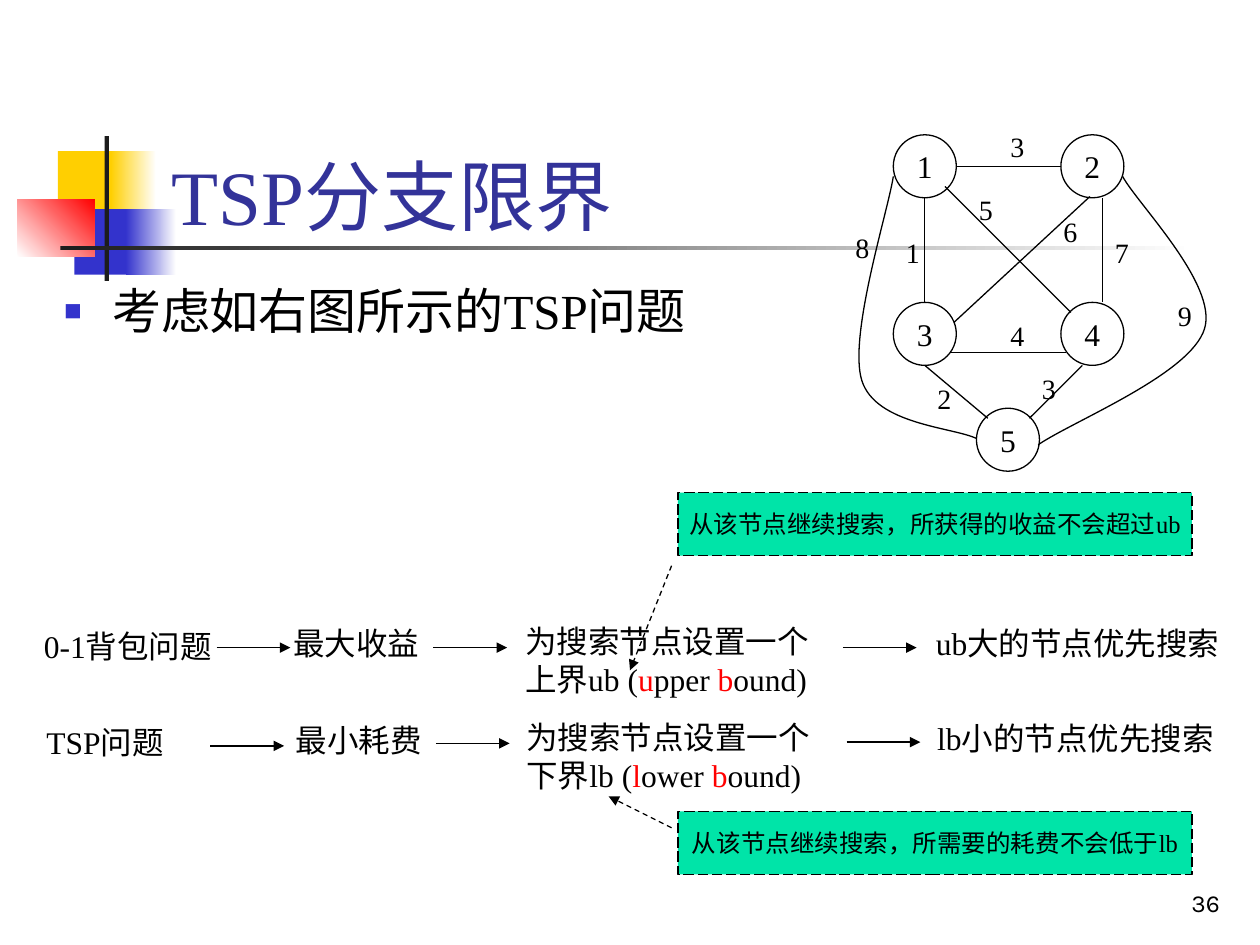
"""Build the slide that sets the travelling salesman problem for branch and bound."""
from dataclasses import dataclass
from typing import Optional

from lxml.etree import SubElement
from pptx import Presentation
from pptx.dml.color import RGBColor
from pptx.enum.dml import MSO_LINE
from pptx.enum.shapes import MSO_CONNECTOR, MSO_SHAPE
from pptx.enum.text import MSO_ANCHOR, MSO_AUTO_SIZE, PP_ALIGN
from pptx.oxml.ns import qn
from pptx.util import Inches, Pt

BLACK = RGBColor(0, 0, 0)
WHITE = RGBColor(255, 255, 255)
RED = RGBColor(255, 0, 0)
GOLD = RGBColor(0xFF, 0xCF, 0x01)
BLUE = RGBColor(0x33, 0x33, 0xCC)
NAVY = RGBColor(0x33, 0x33, 0x99)
INK = RGBColor(0x1C, 0x1C, 0x1C)
MINT = RGBColor(0x00, 0xE4, 0xA8)
SERIF = "Times New Roman"
WIDE, HIGH = Inches(10), Inches(7.5)
COLS, ROWS = 100, 75
Spot = tuple[float, float]
Area = tuple[float, float, float, float]


@dataclass
class Block:
    area: Area
    first: RGBColor
    last: Optional[RGBColor] = None
    angle: float = 0


@dataclass
class Edge:
    weight: str
    label: Spot
    dots: tuple[Spot, ...]


@dataclass
class Step:
    area: Area
    lines: tuple[str, ...]


@dataclass
class Hint:
    top: float
    text: str
    start: Spot
    end: Spot


BLOCKS = [
    Block((4.6, 12, 4.8, 5.2), GOLD),
    Block((8.8, 12, 3.6, 5.2), GOLD, WHITE),
    Block((5.9, 16.6, 4.6, 5.2), BLUE),
    Block((10, 16.6, 4, 5.2), BLUE, WHITE),
    Block((1.4, 15.8, 6.1, 4.6), WHITE, RED, 45),
    Block((8.3, 10.8, 0.35, 11.5), INK),
    Block((4.8, 19.5, 90, 0.35), INK, WHITE),
]
NODES = {"1": (70.9, 10.7), "2": (84.2, 10.7), "3": (70.9, 24),
         "4": (84.2, 24), "5": (77.5, 32.4)}
EDGES = [
    Edge("3", (79.2, 9.8), ((75.9, 13.2), (84.2, 13.2))),
    Edge("5", (76.7, 14.8), ((75, 14.8), (85, 24.8))),
    Edge("6", (83.4, 16.5), ((75.7, 25.6), (86.5, 15.6))),
    Edge("1", (70.9, 18.2), ((73.4, 15.7), (73.4, 24))),
    Edge("7", (87.5, 18.2), ((87.5, 15.7), (87.5, 24))),
    Edge("4", (79.2, 24.8), ((75.5, 28), (84.6, 28))),
    Edge("2", (73.4, 29.8), ((73.4, 29), (78.4, 33.2))),
    Edge("3", (81.7, 29), ((85.9, 29), (81.7, 33.2))),
    Edge("8", (66.9, 17.8), ((70.9, 14), (70.5, 16.7), (67.3, 26.7), (68.4, 30.2),
                             (69.5, 33.7), (75.6, 33.9), (77.5, 34.8))),
    Edge("9", (92.5, 23.2), ((89.1, 14), (90.2, 16.1), (96.7, 22.6), (95.6, 26.1),
                             (94.5, 29.7), (85.2, 33.4), (82.4, 35.3))),
]
STEPS = [
    Step((2.5, 49.3, 15.3, 4), ("0-1背包问题",)),
    Step((22.3, 49, 12.5, 4), ("最大收益",)),
    Step((40.7, 48.9, 25.5, 7), ("为搜索节点设置一个", "上界ub (|u|pper |b|ound)")),
    Step((73.3, 49, 24.5, 4), ("ub大的节点优先搜索",)),
    Step((2.7, 56.9, 11.3, 4), ("TSP问题",)),
    Step((22.5, 56.7, 12.5, 4), ("最小耗费",)),
    Step((40.8, 56.5, 25.5, 7), ("为搜索节点设置一个", "下界lb (|l|ower |b|ound)")),
    Step((73.4, 56.6, 24, 4), ("lb小的节点优先搜索",)),
]
ARROWS = [(17.2, 51.4), (34.4, 51.4), (66.9, 51.4),
          (16.7, 59.2), (34.6, 59), (67.2, 58.9)]
HINTS = [
    Hint(39.1, "从该节点继续搜索，所获得的收益不会超过ub", (53.3, 44.9), (50, 53.2)),
    Hint(64.4, "从该节点继续搜索，所需要的耗费不会低于lb", (53.3, 65.7), (48.3, 63.2)),
]


def place(*cells: float) -> list[int]:
    """Turn alternating columns and rows into slide lengths."""
    units = WIDE / COLS, HIGH / ROWS
    return [round(cell * units[i % 2]) for i, cell in enumerate(cells)]


def style(para, size: float, color=BLACK, name: str = SERIF) -> None:
    """Set the font of a paragraph."""
    font = para.font
    font.size, font.name, font.color.rgb = Pt(size), name, color


def write(frame, lines: tuple[str, ...], size: float, name: str = SERIF) -> None:
    """Write lines, with letters between bars in red."""
    for i, line in enumerate(lines):
        para = frame.add_paragraph() if i else frame.paragraphs[0]
        style(para, size, name=name)
        for j, part in enumerate(line.split("|")):
            run = para.add_run()
            run.text = part
            if j % 2:
                run.font.color.rgb = RED


def note(shapes, area: Area, lines: tuple[str, ...], size: float, name: str = SERIF):
    """Add a wrapping text box."""
    frame = shapes.add_textbox(*place(*area)).text_frame
    frame.word_wrap = True
    write(frame, lines, size, name)
    return frame


def stroke(line, dash=None) -> None:
    """Give a line the thin black pen."""
    line.color.rgb, line.width = BLACK, Pt(0.75)
    if dash:
        line.dash_style = dash


def block(shapes, item: Block) -> None:
    """Draw a plain or fading block."""
    shape = shapes.add_shape(MSO_SHAPE.RECTANGLE, *place(*item.area))
    shape.shadow.inherit = False
    shape.line.fill.background()
    if item.last is None:
        shape.fill.solid()
        shape.fill.fore_color.rgb = item.first
        return
    shape.fill.gradient()
    shape.fill.gradient_angle = item.angle
    for stop, color in zip(shape.fill.gradient_stops, (item.first, item.last)):
        stop.color.rgb = color


def box(shapes, kind, area: Area, text: str, size: float, fill, dash=None) -> None:
    """Draw an outlined shape with centred text."""
    shape = shapes.add_shape(kind, *place(*area))
    shape.shadow.inherit = False
    shape.fill.solid()
    shape.fill.fore_color.rgb = fill
    stroke(shape.line, dash)
    frame = shape.text_frame
    frame.word_wrap, frame.vertical_anchor = False, MSO_ANCHOR.MIDDLE
    write(frame, (text,), size)
    frame.paragraphs[0].alignment = PP_ALIGN.CENTER


def link(shapes, start: Spot, end: Spot, head: bool = False, dash=None) -> None:
    """Draw a straight line or arrow."""
    line = shapes.add_connector(MSO_CONNECTOR.STRAIGHT, *place(*start, *end))
    stroke(line.line, dash)
    if head:
        SubElement(line.line._get_or_add_ln(), qn("a:tailEnd"), type="triangle")
    SubElement(line.element.spPr, qn("a:effectLst"))


def curve(shapes, dots: tuple[Spot, ...]) -> None:
    """Draw a chain of cubic curves through every third dot."""
    spots = [tuple(place(*dot)) for dot in dots]
    pen = shapes.build_freeform(*spots[0])
    pen.add_line_segments(spots[1:], close=False)
    shape = pen.convert_to_shape()
    shape.shadow.inherit = False
    shape.fill.background()
    stroke(shape.line)
    legs = list(shape.element.iter(qn("a:lnTo")))
    for i in range(0, len(legs), 3):
        bend = SubElement(legs[i].getparent(), qn("a:cubicBezTo"))
        for leg in legs[i:i + 3]:
            bend.append(leg[0])
            leg.getparent().remove(leg)


def head(slide) -> None:
    """Fill the title and body placeholders."""
    title, body = slide.placeholders
    for shape, area, text, size, color in (
            (title, (12.6, 3.6, 85.2, 16), "TSP分支限界", 44, NAVY),
            (body, (4.1, 21.8, 56.7, 8.1), "考虑如右图所示的TSP问题", 28, BLACK)):
        shape.left, shape.top, shape.width, shape.height = place(*area)
        frame = shape.text_frame
        frame.text, frame.auto_size = text, MSO_AUTO_SIZE.NONE
        para = frame.paragraphs[0]
        para.alignment = PP_ALIGN.LEFT
        style(para, size, color)
        slide.shapes.element.append(shape.element)
    title.text_frame.vertical_anchor = MSO_ANCHOR.BOTTOM
    para.space_before = Pt(5.6)
    props = para._p.pPr
    props.set("marL", str(Inches(0.38)))
    props.set("indent", str(-Inches(0.38)))
    tint = SubElement(props, qn("a:buClr"))
    SubElement(tint, qn("a:srgbClr"), val=str(BLUE))
    SubElement(props, qn("a:buSzPct"), val="60000")
    SubElement(props, qn("a:buChar"), char="■")
    props.append(props.find(qn("a:defRPr")))


def main() -> None:
    """Build and save the slide."""
    deck = Presentation()
    deck.slide_width, deck.slide_height = WIDE, HIGH
    slide = deck.slides.add_slide(deck.slide_layouts[1])
    shapes = slide.shapes
    for item in BLOCKS:
        block(shapes, item)
    head(slide)
    for step in STEPS:
        note(shapes, step.area, step.lines, 18)
    for left, top in ARROWS:
        link(shapes, (left, top), (left + 5.85, top), True)
    for name, spot in NODES.items():
        box(shapes, MSO_SHAPE.OVAL, (*spot, 5, 5), name, 18, WHITE)
    for edge in EDGES:
        (link(shapes, *edge.dots) if len(edge.dots) == 2 else curve(shapes, edge.dots))
        note(shapes, (*edge.label, 3.1, 3.7), (edge.weight,), 16)
    for hint in HINTS:
        box(shapes, MSO_SHAPE.RECTANGLE, (53.8, hint.top, 40.8, 5), hint.text, 14,
            MINT, MSO_LINE.LONG_DASH)
        link(shapes, hint.start, hint.end, True, MSO_LINE.DASH)
    frame = note(shapes, (77, 68.3, 20.8, 5), ("36",), 14, "Karla")
    frame.vertical_anchor = MSO_ANCHOR.BOTTOM
    frame.paragraphs[0].alignment = PP_ALIGN.RIGHT
    deck.save("out.pptx")


if __name__ == "__main__":
    main()
